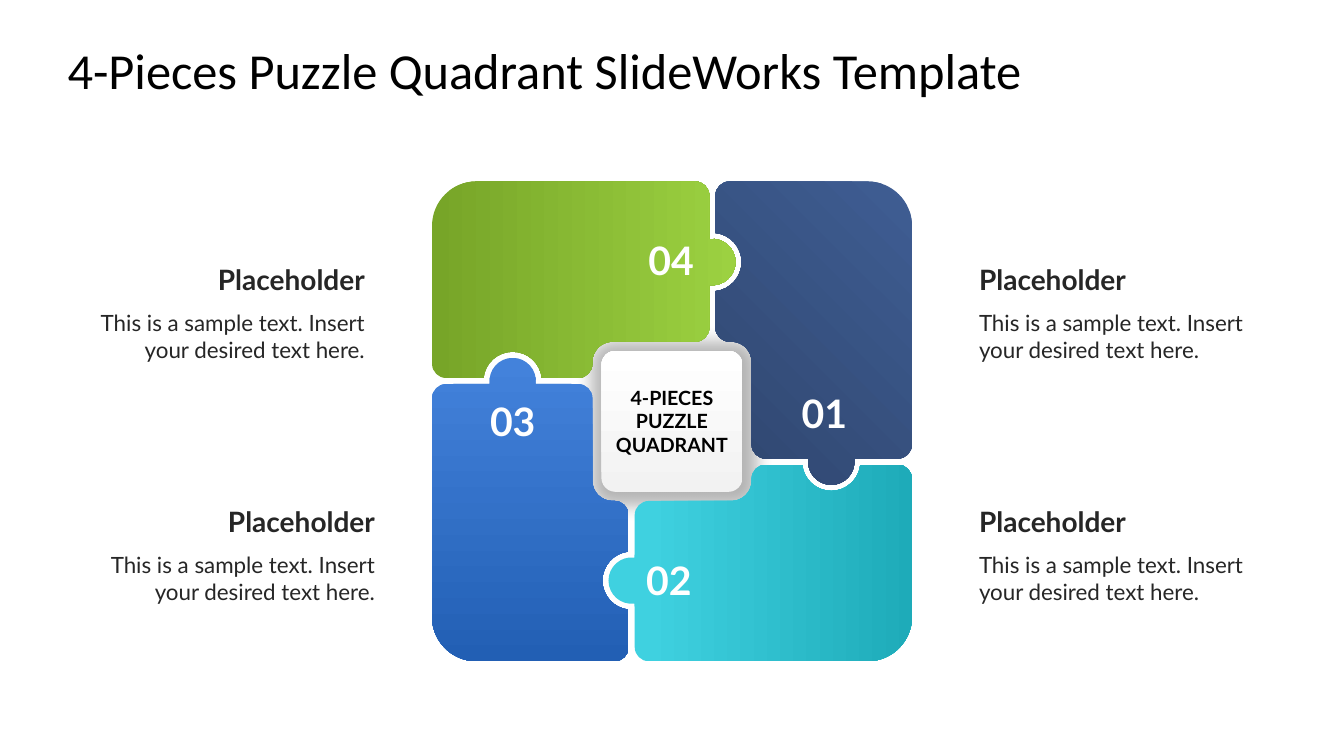
from math import cos, radians, sin, tan

from lxml import etree
from pptx import Presentation
from pptx.dml.color import RGBColor
from pptx.enum.shapes import MSO_SHAPE
from pptx.enum.text import MSO_ANCHOR as ANCHOR, PP_ALIGN as ALIGN
from pptx.oxml.ns import qn
from pptx.util import Inches, Pt

BLACK = RGBColor(0x00, 0x00, 0x00)
WHITE = RGBColor(0xFF, 0xFF, 0xFF)
PALE = RGBColor(0xF2, 0xF2, 0xF2)
INK = RGBColor(0x26, 0x26, 0x26)
NAVY = RGBColor(0x3F, 0x5D, 0x93), RGBColor(0x2F, 0x46, 0x6E)
TEAL = RGBColor(0x3F, 0xD1, 0xE0), RGBColor(0x1E, 0xAB, 0xB9)
BLUE = RGBColor(0x43, 0x82, 0xDB), RGBColor(0x22, 0x5F, 0xB4)
GREEN = RGBColor(0x77, 0xA5, 0x28), RGBColor(0x9C, 0xD1, 0x41)

SLIDE_W, SLIDE_H = 13.33, 7.5
PUZZLE_SIDE = 4.76
PIECE_ARCS = [
    (0.4, -1.58, 0.29, -84, 0),
    (0.4, -1.58, 0.29, 0, 84),
    (0.57, -0.93, 0.14, 180, 90),
    (0.59, -0.59, 0.2, -90, 0),
    (0.93, 0.23, 0.14, 180, 90),
    (1.58, 0.4, 0.23, 187, 90),
    (1.58, 0.4, 0.23, 90, -7),
    (2.24, 0.23, 0.14, 90, 0),
    (1.94, -1.94, 0.44, 0, -90),
    (0.57, -2.24, 0.14, -90, -180),
]

PIECES = [
    ("01", NAVY, 0.01, 225, (0.95, -0.37, 1.12, 0.57)),
    ("02", TEAL, 0.13, 0, (-0.38, 1.29, 0.7, 0.57)),
    ("03", BLUE, 0.01, 270, (-2.14, -0.29, 1.12, 0.57)),
    ("04", GREEN, 0.01, 0, (-0.37, -1.89, 0.72, 0.57)),
]
CAPTIONS = [
    (9.71, 2.55, ALIGN.LEFT),
    (0.71, 2.55, ALIGN.RIGHT),
    (9.71, 4.95, ALIGN.LEFT),
    (0.81, 4.95, ALIGN.RIGHT),
]


def add_text(s, text, x, y, w, h, size, font="Lato", color=INK, bold=False,
             align=ALIGN.LEFT, anchor=ANCHOR.MIDDLE, spacing=None):
    """Add a wrapped text box without insets."""
    tf = s.shapes.add_textbox(Inches(x), Inches(y), Inches(w), Inches(h)).text_frame
    tf.word_wrap = True
    tf.vertical_anchor = anchor
    tf.margin_left = tf.margin_right = tf.margin_top = tf.margin_bottom = 0
    p = tf.paragraphs[0]
    p.alignment = align
    if spacing:
        p.line_spacing = spacing
    r = p.add_run()
    r.text = text
    r.font.name, r.font.size, r.font.bold = font, Pt(size), bold
    r.font.color.rgb = color


def finish(sp):
    """Remove the outline and shadow of a shape."""
    sp.line.fill.background()
    sp.shadow.inherit = False


def fill_gradient(sp, colors, first, angle):
    """Fill a shape with a two-colour linear gradient."""
    sp.fill.gradient()
    sp.fill.gradient_angle = angle
    for stop, color, position in zip(sp.fill.gradient_stops, colors, (first, 1)):
        stop.color.rgb = color
        stop.position = position


def add_tile(s, cx, cy, side, radius):
    """Add a rounded square around a centre."""
    sp = s.shapes.add_shape(MSO_SHAPE.ROUNDED_RECTANGLE, Inches(cx - side / 2),
                            Inches(cy - side / 2), Inches(side), Inches(side))
    sp.adjustments[0] = radius / side
    finish(sp)
    return sp


def add_shade(s, cx, cy):
    """Add the soft translucent plate behind the pieces."""
    sp = add_tile(s, cx + 0.02, cy + 0.02, 1.99, 0.21)
    sp.fill.solid()
    sp.fill.fore_color.rgb = BLACK
    color = sp._element.spPr.find(".//" + qn("a:srgbClr"))
    etree.SubElement(color, qn("a:alpha"), val="30000")
    effects = sp._element.spPr.find(qn("a:effectLst"))
    etree.SubElement(effects, qn("a:softEdge"), rad=str(Inches(0.18)))


def arc_points(x, y, radius, start, end):
    """Return the four Bezier points of an arc given in degrees."""
    a, b = radians(start), radians(end)
    k = 4 / 3 * tan((b - a) / 4)
    return [(x + radius * (cos(t) - m * sin(t)), y + radius * (sin(t) + m * cos(t)))
            for t, m in ((a, 0), (a, k), (b, -k), (b, 0))]


def add_piece(s, cx, cy, turns):
    """Add a puzzle piece after clockwise quarter turns about the centre."""
    points = []
    for arc in PIECE_ARCS:
        for x, y in arc_points(*arc):
            for _ in range(turns):
                x, y = -y, x
            points.append((Inches(cx + x), Inches(cy + y)))
    builder = s.shapes.build_freeform(*points[0])
    builder.add_line_segments(points[1:], close=True)
    sp = builder.convert_to_shape()
    lines = sp._element.spPr.findall(".//" + qn("a:lnTo"))
    for i in range(0, 4 * len(PIECE_ARCS), 4):
        curve = etree.Element(qn("a:cubicBezTo"))
        lines[i].addprevious(curve)
        for line in lines[i:i + 3]:
            curve.append(line[0])
            line.getparent().remove(line)
    finish(sp)
    return sp


def add_puzzle(s, x, y, side):
    """Add the puzzle quadrant inside a square box."""
    cx, cy = x + side / 2, y + side / 2
    add_shade(s, cx, cy)
    for turns, (_, colors, first, angle, _) in enumerate(PIECES):
        fill_gradient(add_piece(s, cx, cy, turns), colors, first, angle)
    fill_gradient(add_tile(s, cx, cy, 1.4, 0.14), (PALE, WHITE), 0, 90)
    add_text(s, "4-PIECES PUZZLE QUADRANT", cx - 0.6, cy - 0.48, 1.2, 0.95, 14,
             color=BLACK, bold=True, align=ALIGN.CENTER)
    for number, _, _, _, (dx, dy, w, h) in PIECES:
        add_text(s, number, cx + dx, cy + dy, w, h, 28, color=WHITE, bold=True,
                 align=ALIGN.CENTER)


def add_caption(s, x, y, align):
    """Add a heading with its sample text below."""
    add_text(s, "Placeholder", x, y, 2.91, 0.39, 20, bold=True, align=align,
             anchor=ANCHOR.BOTTOM, spacing=0.9)
    add_text(s, "This is a sample text. Insert your desired text here.",
             x, y + 0.55, 2.91, 0.47, 16, align=align)


def main():
    """Build and save the slide."""
    prs = Presentation()
    prs.slide_width, prs.slide_height = Inches(SLIDE_W), Inches(SLIDE_H)
    s = prs.slides.add_slide(prs.slide_layouts[6])
    add_text(s, "4-Pieces Puzzle Quadrant SlideWorks Template", 0.67, 0.3, 12, 0.78,
             36, font="Calibri", color=BLACK)
    add_puzzle(s, (SLIDE_W - PUZZLE_SIDE) / 2, 1.8, PUZZLE_SIDE)
    for x, y, align in CAPTIONS:
        add_caption(s, x, y, align)
    prs.save("out.pptx")


if __name__ == "__main__":
    main()
